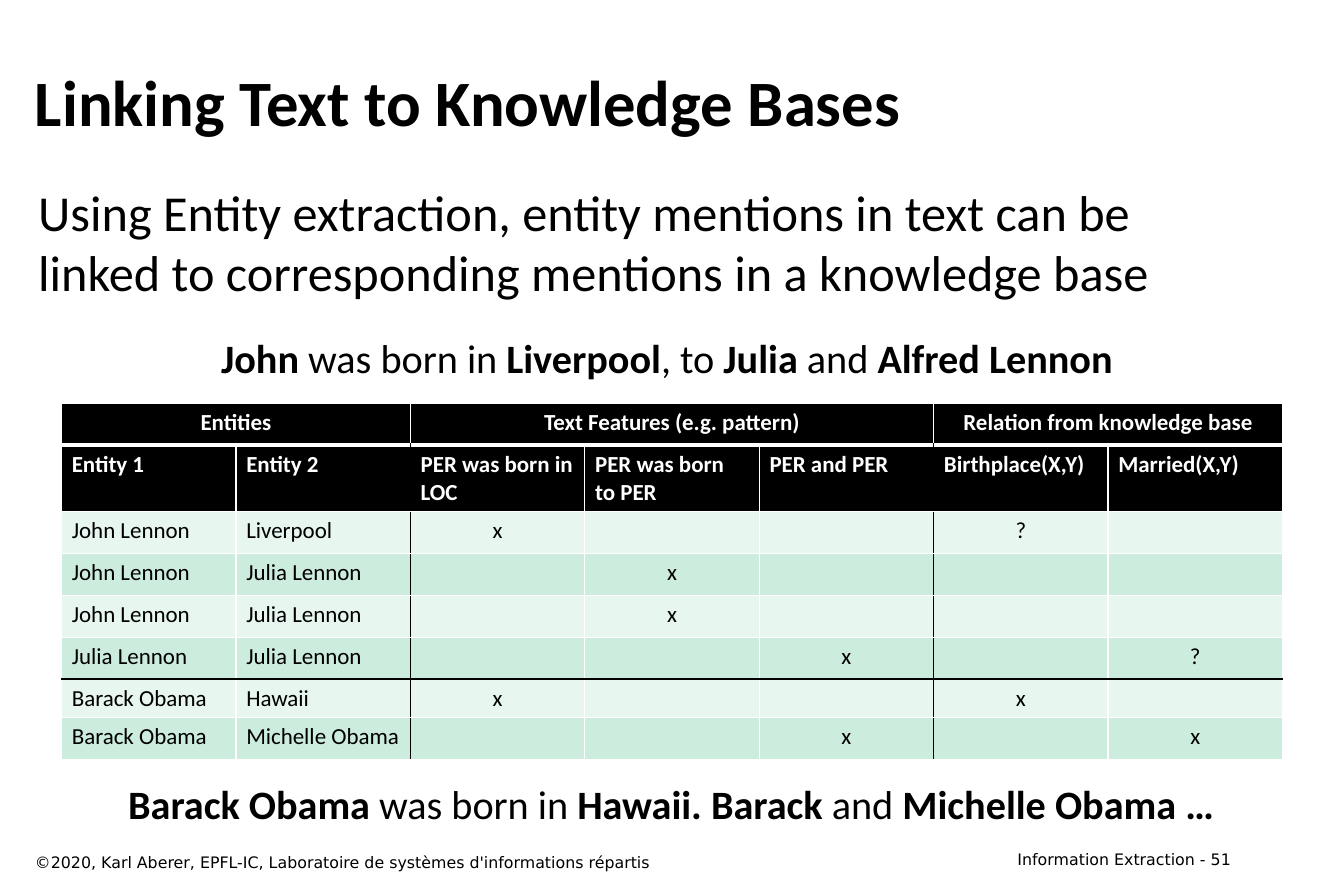
from lxml.etree import SubElement
from pptx import Presentation
from pptx.dml.color import RGBColor
from pptx.enum.text import MSO_ANCHOR, MSO_AUTO_SIZE, PP_ALIGN
from pptx.oxml.ns import qn
from pptx.util import Pt

BLACK, WHITE = "000000", "FFFFFF"
LIGHT_GREEN, GREEN = "E7F6EF", "CCECDE"
GROUPS = [("Entities", 0, 1), ("Text Features (e.g. pattern)", 2, 4),
          ("Relation from knowledge base", 5, 6)]
HEADINGS = ["Entity 1", "Entity 2", "PER was born in LOC", "PER was born to PER",
            "PER and PER", "Birthplace(X,Y)", "Married(X,Y)"]
FACTS = [
    ["John Lennon", "Liverpool", "x", "", "", "?", ""],
    ["John Lennon", "Julia Lennon", "", "x", "", "", ""],
    ["John Lennon", "Julia Lennon", "", "x", "", "", ""],
    ["Julia Lennon", "Julia Lennon", "", "", "x", "", "?"],
    ["Barack Obama", "Hawaii", "x", "", "", "x", ""],
    ["Barack Obama", "Michelle Obama", "", "", "x", "", "x"],
]
ROW_HEIGHTS = [29.2, 46, 29.2, 29.2, 29.2, 29.2, 26.8, 29.2]
GROUP_STARTS = (2, 5)
SECOND_TEXT_ROW = 6


def color(hex_code):
    """Turn a hex string into a colour."""
    return RGBColor.from_string(hex_code)


def style(paragraph, size, font="Calibri", hex_code=BLACK, bold=False, align=PP_ALIGN.LEFT):
    """Set the alignment and font of a paragraph."""
    paragraph.alignment = align
    paragraph.font.size = Pt(size)
    paragraph.font.name = font
    paragraph.font.bold = bold
    paragraph.font.color.rgb = color(hex_code)


def add_text(slide, text, left, top, width, height, size, anchor=MSO_ANCHOR.TOP, **look):
    """Add a wrapped text box with one paragraph."""
    frame = slide.shapes.add_textbox(Pt(left), Pt(top), Pt(width), Pt(height)).text_frame
    frame.word_wrap = True
    frame.vertical_anchor = anchor
    frame.margin_left = frame.margin_right = Pt(8.6)
    frame.margin_top = frame.margin_bottom = Pt(4.3)
    frame.text = text
    style(frame.paragraphs[0], size, **look)


def add_sentence(slide, parts, left, top, width):
    """Add a centred sentence whose parts alternate between bold and regular."""
    frame = slide.shapes.add_textbox(Pt(left), Pt(top), Pt(width), Pt(41)).text_frame
    frame.word_wrap = False
    frame.auto_size = MSO_AUTO_SIZE.SHAPE_TO_FIT_TEXT
    sentence = frame.paragraphs[0]
    for index, part in enumerate(parts):
        run = sentence.add_run()
        run.text = part
        run.font.bold = index % 2 == 0
    style(sentence, 28, align=PP_ALIGN.CENTER)


def add_borders(cell, row, column):
    """Draw the cell borders, black between column groups and example texts."""
    left = row > 0 and column in GROUP_STARTS
    right = row > 0 and column + 1 in GROUP_STARTS
    top = row == SECOND_TEXT_ROW
    bottom = row + 1 == SECOND_TEXT_ROW
    properties = cell._tc.get_or_add_tcPr()
    for side, dark in zip("LRTB", (left, right, top, bottom)):
        heavy = (side, row) in (("B", 0), ("T", 1))
        line = SubElement(properties, qn(f"a:ln{side}"), w=str(Pt(3 if heavy else 1)))
        fill = SubElement(line, qn("a:solidFill"))
        SubElement(fill, qn("a:srgbClr"), val=BLACK if dark else WHITE)


def add_features_table(slide):
    """Add the table of entity pairs, text features and relations."""
    table = slide.shapes.add_table(len(ROW_HEIGHTS), len(HEADINGS), Pt(42.8), Pt(280.6),
                                   Pt(849.8), Pt(sum(ROW_HEIGHTS))).table
    for column in table.columns:
        column.width = Pt(121.4)
    for row, height in zip(table.rows, ROW_HEIGHTS):
        row.height = Pt(height)
    group_titles = [""] * len(HEADINGS)
    for title, first, last in GROUPS:
        group_titles[first] = title
        table.cell(0, first).merge(table.cell(0, last))
    for row, texts in enumerate([group_titles, HEADINGS, *FACTS]):
        header = row < 2
        for column, text in enumerate(texts):
            cell = table.cell(row, column)
            add_borders(cell, row, column)
            cell.fill.solid()
            cell.fill.fore_color.rgb = color(BLACK if header else (LIGHT_GREEN, GREEN)[row % 2])
            cell.text = text
            centred = row == 0 or (row > 1 and column > 1)
            style(cell.text_frame.paragraphs[0], 16, bold=header,
                  hex_code=WHITE if header else BLACK,
                  align=PP_ALIGN.CENTER if centred else PP_ALIGN.LEFT)


def main():
    """Build the slide and save it."""
    deck = Presentation()
    deck.slide_width, deck.slide_height = Pt(935.3), Pt(623.5)
    slide = deck.slides.add_slide(deck.slide_layouts[6])
    add_text(slide, "Information Extraction - 51", 670.3, 586.8, 195.1, 20.9, 11,
             font="DejaVu Sans", align=PP_ALIGN.RIGHT)
    add_text(slide, "Linking Text to Knowledge Bases", 15.8, 28.1, 849.6, 83.5, 45,
             anchor=MSO_ANCHOR.MIDDLE, bold=True)
    add_text(slide, "Using Entity extraction, entity mentions in text can be linked to "
             "corresponding mentions in a knowledge base", 18, 121.7, 849.6, 457.2, 35)
    add_text(slide, "©2020, Karl Aberer, EPFL-IC, Laboratoire de systèmes d'informations répartis",
             15.8, 589, 600.5, 20.9, 11, font="DejaVu Sans")
    add_features_table(slide)
    add_sentence(slide, ["John", " was born in ", "Liverpool", ", to ", "Julia", " and ",
                         "Alfred Lennon "], 144.7, 228.2, 645.1)
    add_sentence(slide, ["Barack Obama ", "was born in ", "Hawaii. Barack ", "and",
                         " Michelle Obama …"], 74.9, 538.6, 784.1)
    deck.save("out.pptx")


if __name__ == "__main__":
    main()
